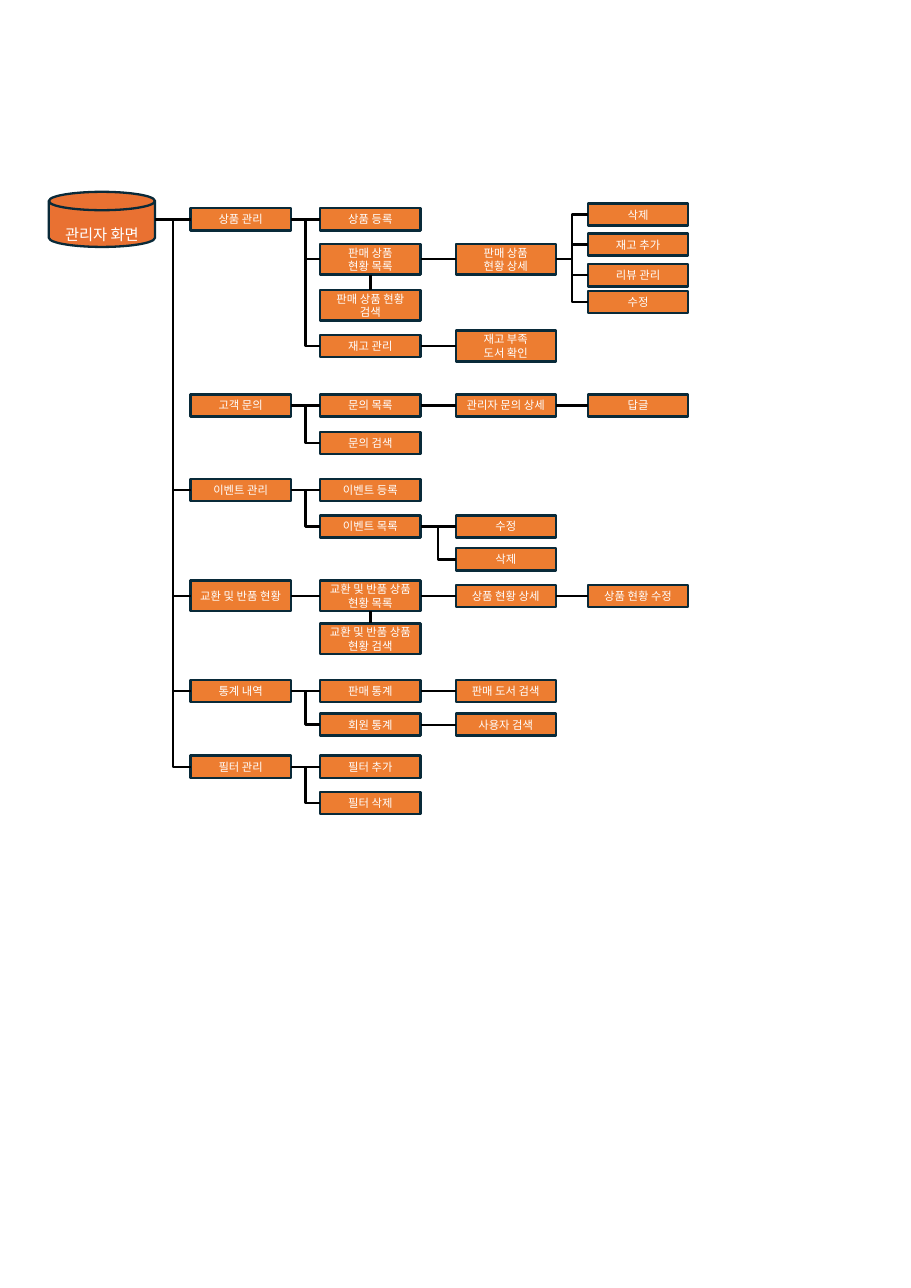
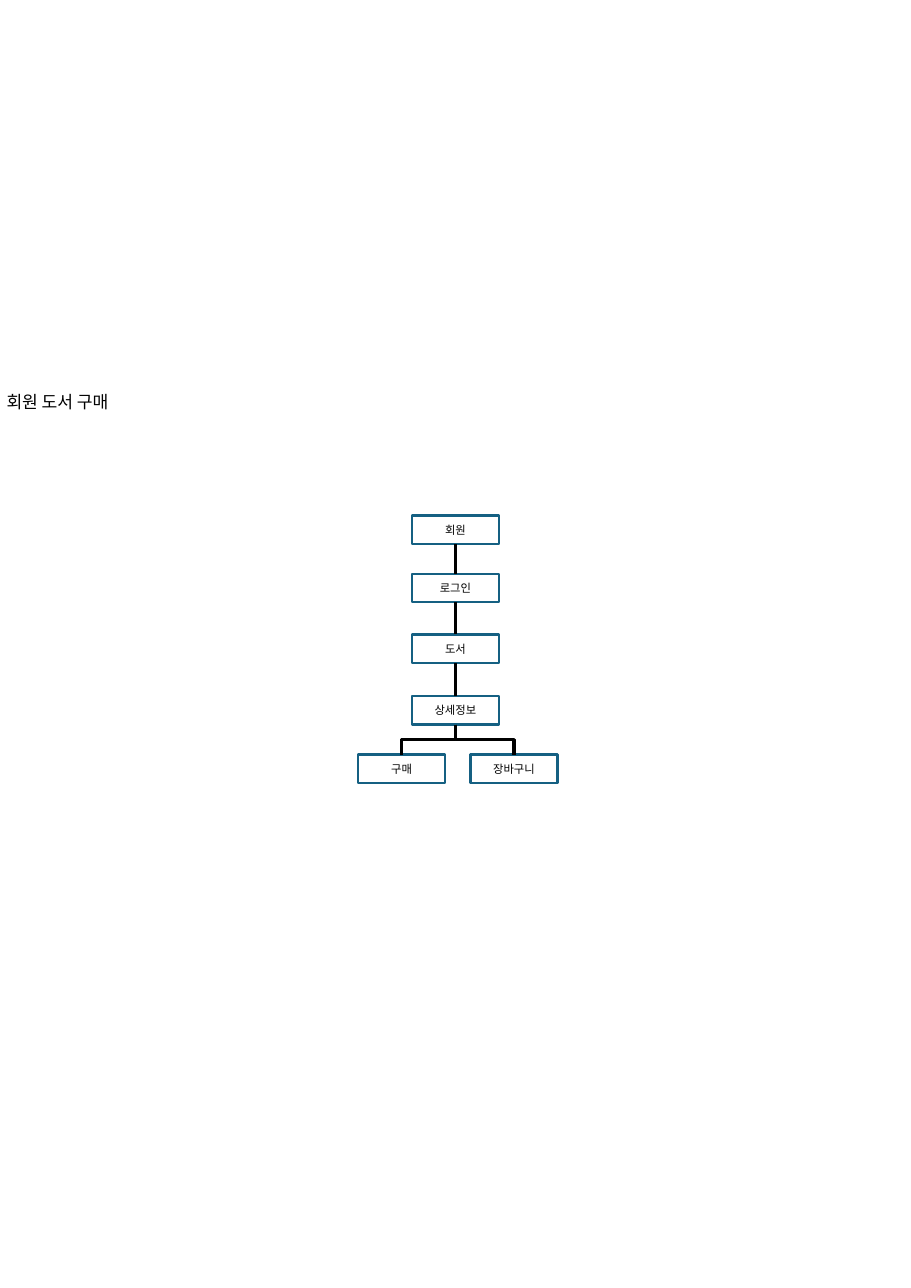
from lxml import etree
from pptx import Presentation
from pptx.dml.color import RGBColor
from pptx.enum.shapes import MSO_CONNECTOR, MSO_SHAPE
from pptx.enum.text import MSO_ANCHOR, MSO_AUTO_SIZE, PP_ALIGN
from pptx.oxml.ns import qn
from pptx.util import Cm, Pt

BLACK = RGBColor(0x00, 0x00, 0x00)
WHITE = RGBColor(0xFF, 0xFF, 0xFF)
ORANGE = RGBColor(0xED, 0x7D, 0x31)
DISK_ORANGE = RGBColor(0xE9, 0x71, 0x32)
NAVY = RGBColor(0x09, 0x2A, 0x39)
TEAL = RGBColor(0x15, 0x60, 0x82)
FONT = "Lato"
TITLE_LAYOUT, BLANK_LAYOUT = 5, 6
TOP, LEFT, BOTTOM, RIGHT = range(4)


def add_box(slide, text, center, size, fill, border, color,
            font_size=7.4, preset=MSO_SHAPE.RECTANGLE):
    """Add a labelled shape around its centre; center and size are in cm."""
    width, height = Cm(size[0]), Cm(size[1])
    box = slide.shapes.add_shape(preset, Cm(center[0]) - width // 2,
                                 Cm(center[1]) - height // 2, width, height)
    box.shadow.inherit = False
    box.fill.solid()
    box.fill.fore_color.rgb = fill
    box.line.color.rgb = border
    box.line.width = Pt(1.5)
    frame = box.text_frame
    frame.word_wrap = True
    frame.vertical_anchor = MSO_ANCHOR.MIDDLE
    frame.margin_left = frame.margin_right = Cm(0.15)
    frame.margin_top = frame.margin_bottom = Cm(0.08)
    frame.text = text
    for paragraph in frame.paragraphs:
        paragraph.alignment = PP_ALIGN.CENTER
        for run in paragraph.runs:
            run.font.name = FONT
            run.font.size = Pt(font_size)
            run.font.color.rgb = color
    return box


def link(slide, start, end, width, downward=False):
    """Join two shapes, with an elbow if they are not in line."""
    if downward:
        x1, y1 = start.left + start.width // 2, start.top + start.height
        x2, y2 = end.left + end.width // 2, end.top
        offset, sites = x2 - x1, (BOTTOM, TOP)
    else:
        x1, y1 = start.left + start.width, start.top + start.height // 2
        x2, y2 = end.left, end.top + end.height // 2
        offset, sites = y2 - y1, (RIGHT, LEFT)
    bent = abs(offset) > Cm(0.02)
    kind = MSO_CONNECTOR.ELBOW if bent else MSO_CONNECTOR.STRAIGHT
    connector = slide.shapes.add_connector(kind, x1, y1, x2, y2)
    if start.auto_shape_type == MSO_SHAPE.RECTANGLE:
        connector.begin_connect(start, sites[0])
    connector.end_connect(end, sites[1])
    connector.line.color.rgb = BLACK
    connector.line.width = Pt(width)
    properties = connector._element.spPr
    etree.SubElement(properties, qn("a:effectLst"))
    if bent and downward:
        # An elbow leaves sideways, so it is turned to leave downwards.
        connector.width, connector.height = y2 - y1, abs(offset)
        connector.left = (x1 + x2 - connector.width) // 2
        connector.top = (y1 + y2 - connector.height) // 2
        transform = properties.find(qn("a:xfrm"))
        transform.attrib.clear()
        transform.set("rot", "5400000" if offset < 0 else "16200000")
        if offset > 0:
            transform.set("flipH", "1")


presentation = Presentation()
presentation.slide_width = Cm(21)
presentation.slide_height = Cm(29.7)

# Slide 1: administrator menu tree
admin_slide = presentation.slides.add_slide(presentation.slide_layouts[BLANK_LAYOUT])
admin = add_box(admin_slide, "관리자 화면", (2.35, 5.06), (2.45, 1.27), DISK_ORANGE,
                NAVY, WHITE, 10, MSO_SHAPE.FLOWCHART_MAGNETIC_DISK)
admin.text_frame.margin_top = Cm(0.5)
admin.text_frame.margin_bottom = 0

LEVEL_CENTERS = [5.55, 8.54, 11.66, 14.71]
LOW, TALL = 0.51, 0.71
# Label, level, vertical centre, height, link: from the level before ("side"),
# from the box above ("above") or none
menu = [
    ("상품 관리", 0, 5.06, LOW, "side"),
    ("상품 등록", 1, 5.06, LOW, "side"),
    ("판매 상품\n현황 목록", 1, 5.98, TALL, "side"),
    ("판매 상품\n현황 상세", 2, 5.98, TALL, "side"),
    ("삭제", 3, 4.95, LOW, "side"),
    ("재고 추가", 3, 5.64, LOW, "side"),
    ("리뷰 관리", 3, 6.35, LOW, "side"),
    ("수정", 3, 6.96, LOW, "side"),
    ("판매 상품 현황 검색", 1, 7.04, TALL, "above"),
    ("재고 관리", 1, 7.98, LOW, "side"),
    ("재고 부족\n도서 확인", 2, 7.98, TALL, "side"),
    ("고객 문의", 0, 9.35, LOW, None),
    ("문의 목록", 1, 9.35, LOW, "side"),
    ("관리자 문의 상세", 2, 9.35, LOW, "side"),
    ("답글", 3, 9.35, LOW, "side"),
    ("문의 검색", 1, 10.21, LOW, "side"),
    ("이벤트 관리", 0, 11.3, LOW, "side"),
    ("이벤트 등록", 1, 11.3, LOW, "side"),
    ("이벤트 목록", 1, 12.14, LOW, "side"),
    ("수정", 2, 12.14, LOW, "side"),
    ("삭제", 2, 12.9, LOW, "side"),
    ("교환 및 반품 현황", 0, 13.74, TALL, "side"),
    ("교환 및 반품 상품 현황 목록", 1, 13.74, TALL, "side"),
    ("상품 현황 상세", 2, 13.74, LOW, "side"),
    ("상품 현황 수정", 3, 13.74, LOW, "side"),
    ("교환 및 반품 상품 현황 검색", 1, 14.73, TALL, "above"),
    ("통계 내역", 0, 15.94, LOW, "side"),
    ("판매 통계", 1, 15.94, LOW, "side"),
    ("판매 도서 검색", 2, 15.94, LOW, "side"),
    ("회원 통계", 1, 16.71, LOW, "side"),
    ("사용자 검색", 2, 16.71, LOW, "side"),
    ("필터 관리", 0, 17.68, LOW, "side"),
    ("필터 추가", 1, 17.68, LOW, "side"),
    ("필터 삭제", 1, 18.52, LOW, "side"),
]
latest = {-1: admin}
for label, level, middle, height, origin in menu:
    entry = add_box(admin_slide, label, (LEVEL_CENTERS[level], middle),
                    (2.31, height), ORANGE, NAVY, WHITE)
    if origin == "side":
        link(admin_slide, latest[level - 1], entry, 1.5)
    elif origin == "above":
        link(admin_slide, latest[level], entry, 1.5, downward=True)
    latest[level] = entry

# Slide 2: how a member buys a book
purchase_slide = presentation.slides.add_slide(presentation.slide_layouts[TITLE_LAYOUT])
title = purchase_slide.shapes.title
title.left, title.top, title.width, title.height = Cm(0), Cm(8.94), Cm(4.72), Cm(0.64)
title_frame = title.text_frame
title_frame.text = "회원 도서 구매"
title_frame.auto_size = MSO_AUTO_SIZE.NONE
title_frame.word_wrap = True
title_frame.vertical_anchor = MSO_ANCHOR.TOP
title_frame.margin_left = title_frame.margin_right = Cm(0.15)
title_frame.margin_top = title_frame.margin_bottom = Cm(0.08)
title_paragraph = title_frame.paragraphs[0]
title_paragraph.alignment = PP_ALIGN.LEFT
title_font = title_paragraph.runs[0].font
title_font.name = FONT
title_font.size = Pt(11.2)
title_font.color.rgb = BLACK

STEP_SIZE = (2.01, 0.66)
previous = None
for label, middle in [("회원", 12.22), ("로그인", 13.56), ("도서", 14.96), ("상세정보", 16.38)]:
    step = add_box(purchase_slide, label, (10.5, middle), STEP_SIZE, WHITE, TEAL, BLACK)
    if previous is not None:
        link(purchase_slide, previous, step, 2, downward=True)
    previous = step
for label, center in [("구매", 9.26), ("장바구니", 11.85)]:
    choice = add_box(purchase_slide, label, (center, 17.73), STEP_SIZE, WHITE, TEAL, BLACK)
    link(purchase_slide, previous, choice, 2, downward=True)

presentation.save("out.pptx")
